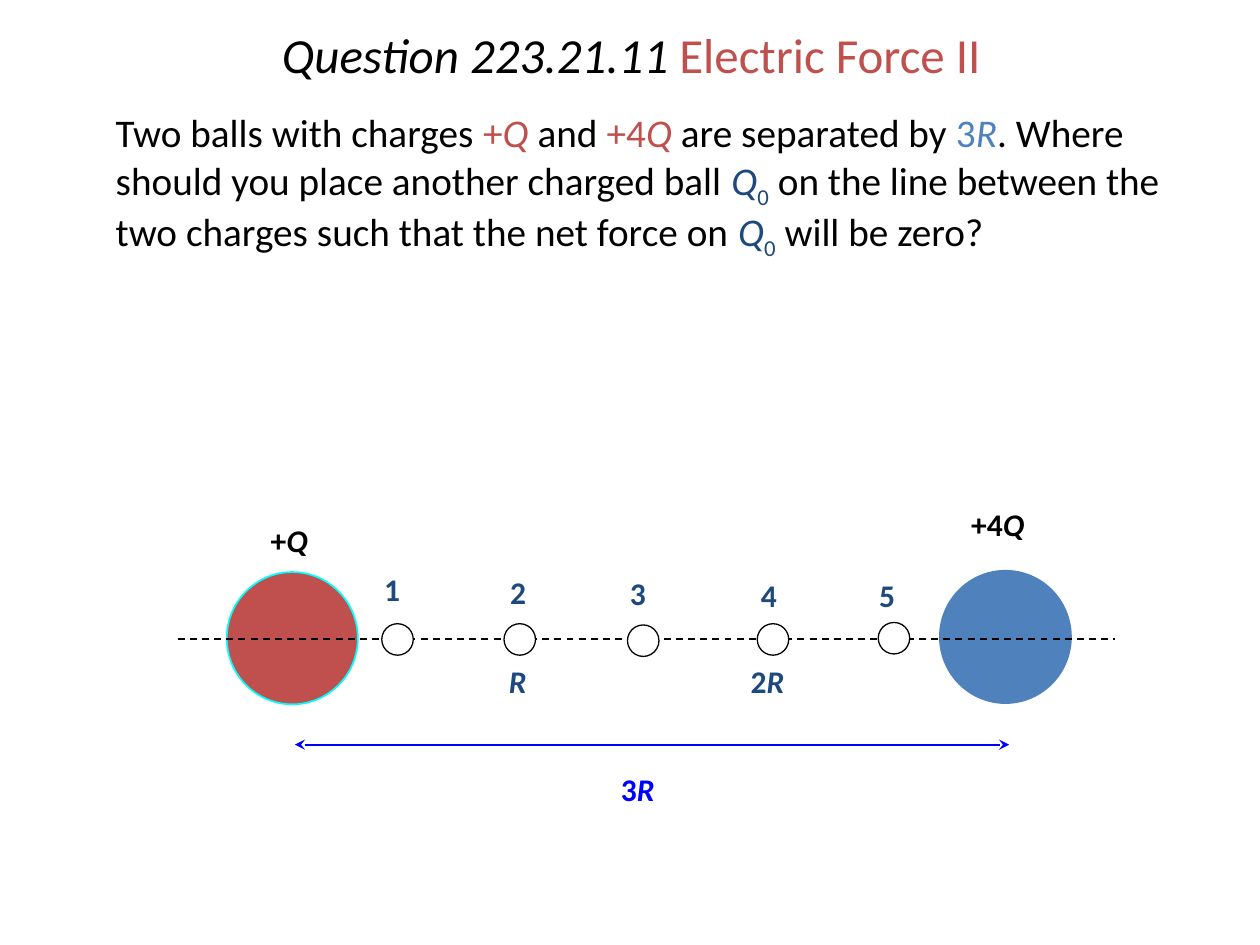
import pptx
import pptx.util
import pptx.dml.color
import pptx.enum.dml
import pptx.enum.shapes
import pptx.enum.text
import pptx.oxml.ns
import lxml.etree

Inches = pptx.util.Inches
BLACK, RED, BLUE, NAVY, BRIGHT = "000000", "C0504D", "4F81BD", "1F497D", "0000FF"


def color(value):
    return pptx.dml.color.RGBColor.from_string(value)


def add_text(box, runs, size, bold=False, spacing=0.9, wrap=False, **paragraph_format):
    left, top, width, height = map(Inches, box)
    frame = slide.shapes.add_textbox(left, top, width, height).text_frame
    frame.word_wrap = wrap
    paragraph = frame.paragraphs[0]
    paragraph.line_spacing = spacing
    for name, value in paragraph_format.items():
        setattr(paragraph, name, value)
    for text, text_color, style in runs:
        run = paragraph.add_run()
        run.text = text
        values = {"name": "Calibri", "size": pptx.util.Pt(size), "bold": bold, "italic": style == "italic"}
        for name, value in values.items():
            setattr(run.font, name, value)
        run.font.color.rgb = color(text_color)
        if style == "subscript":
            run.font._element.set("baseline", "-25000")
    return frame


presentation = pptx.Presentation()
presentation.slide_width = Inches(10)
presentation.slide_height = Inches(7.5)
slide = presentation.slides.add_slide(presentation.slide_layouts[6])

title = [("Question 223.21.11 ", BLACK, "italic"), ("Electric Force II", RED, "")]
title_frame = add_text((1.02, 0, 7.98, 0.92), title, 28, wrap=True, alignment=pptx.enum.text.PP_ALIGN.CENTER)
title_frame.vertical_anchor = pptx.enum.text.MSO_ANCHOR.MIDDLE

test_charge = [("Q", NAVY, "italic"), ("0", NAVY, "subscript")]
question = [
    ("Two balls with charges ", BLACK, ""),
    ("+", RED, ""),
    ("Q", RED, "italic"),
    (" and ", BLACK, ""),
    ("+4", RED, ""),
    ("Q", RED, "italic"),
    (" are separated by ", BLACK, ""),
    ("3", BLUE, ""),
    ("R", BLUE, "italic"),
    (". Where should you place another charged ball ", BLACK, ""),
    *test_charge,
    (" on the line between the two charges such that the net force on ", BLACK, ""),
    *test_charge,
    (" will be zero?", BLACK, ""),
]
add_text((0.82, 0.84, 8.81, 1.33), question, 22.4, spacing=0.95, wrap=True)

balls = [(7.46, 4.53, 1.04, 1.05, BLUE, BLUE, 1), (1.8, 4.54, 1.04, 1.05, RED, "00FFFF", 1)]
positions = [(3.03, 4.95), (4, 4.95), (4.98, 4.96), (6.01, 4.95), (6.97, 4.94)]
markers = [(left, top, 0.25, 0.25, "FFFFFF", BLACK, 0.75) for left, top in positions]
lines = [(1.41, 8.85, 5.07, BLACK, True), (2.34, 8.01, 5.91, BRIGHT, False)]

for group in (balls, lines, markers):
    for item in group:
        if group is lines:
            start, end, height, line_color, dashed = item
            connector = slide.shapes.add_connector(
                pptx.enum.shapes.MSO_CONNECTOR.STRAIGHT, Inches(start), Inches(height), Inches(end), Inches(height)
            )
            connector.line.color.rgb = color(line_color)
            connector.line.width = pptx.util.Pt(1)
            if dashed:
                connector.line.dash_style = pptx.enum.dml.MSO_LINE.DASH
            else:
                line_element = connector.line._get_or_add_ln()
                for tag in ("a:headEnd", "a:tailEnd"):
                    lxml.etree.SubElement(line_element, pptx.oxml.ns.qn(tag), type="stealth")
            lxml.etree.SubElement(connector._element.spPr, pptx.oxml.ns.qn("a:effectLst"))
        else:
            *box, fill_color, line_color, line_width = item
            shape = slide.shapes.add_shape(pptx.enum.shapes.MSO_SHAPE.OVAL, *map(Inches, box))
            shape.shadow.inherit = False
            shape.fill.solid()
            shape.fill.fore_color.rgb = color(fill_color)
            shape.line.color.rgb = color(line_color)
            shape.line.width = pptx.util.Pt(line_width)

labels = [
    (4.83, 6.1, 0.52, "3", "R", BRIGHT),
    (2.05, 4.12, 0.54, "+", "Q", BLACK),
    (7.61, 3.99, 0.68, "+4", "Q", BLACK),
    (3.94, 5.24, 0.38, "", "R", NAVY),
    (5.86, 5.24, 0.52, "2", "R", NAVY),
]
number_places = [(2.95, 4.51), (3.95, 4.53), (4.9, 4.54), (5.94, 4.56), (6.88, 4.56)]
for number, (left, top) in enumerate(number_places, 1):
    labels.append((left, top, 0.34, str(number), "", NAVY))

for left, top, width, upright, slanted, label_color in labels:
    runs = [(text, label_color, style) for text, style in ((upright, ""), (slanted, "italic")) if text]
    add_text((left, top, width, 0.37), runs, 18, bold=True)

presentation.save("out.pptx")
